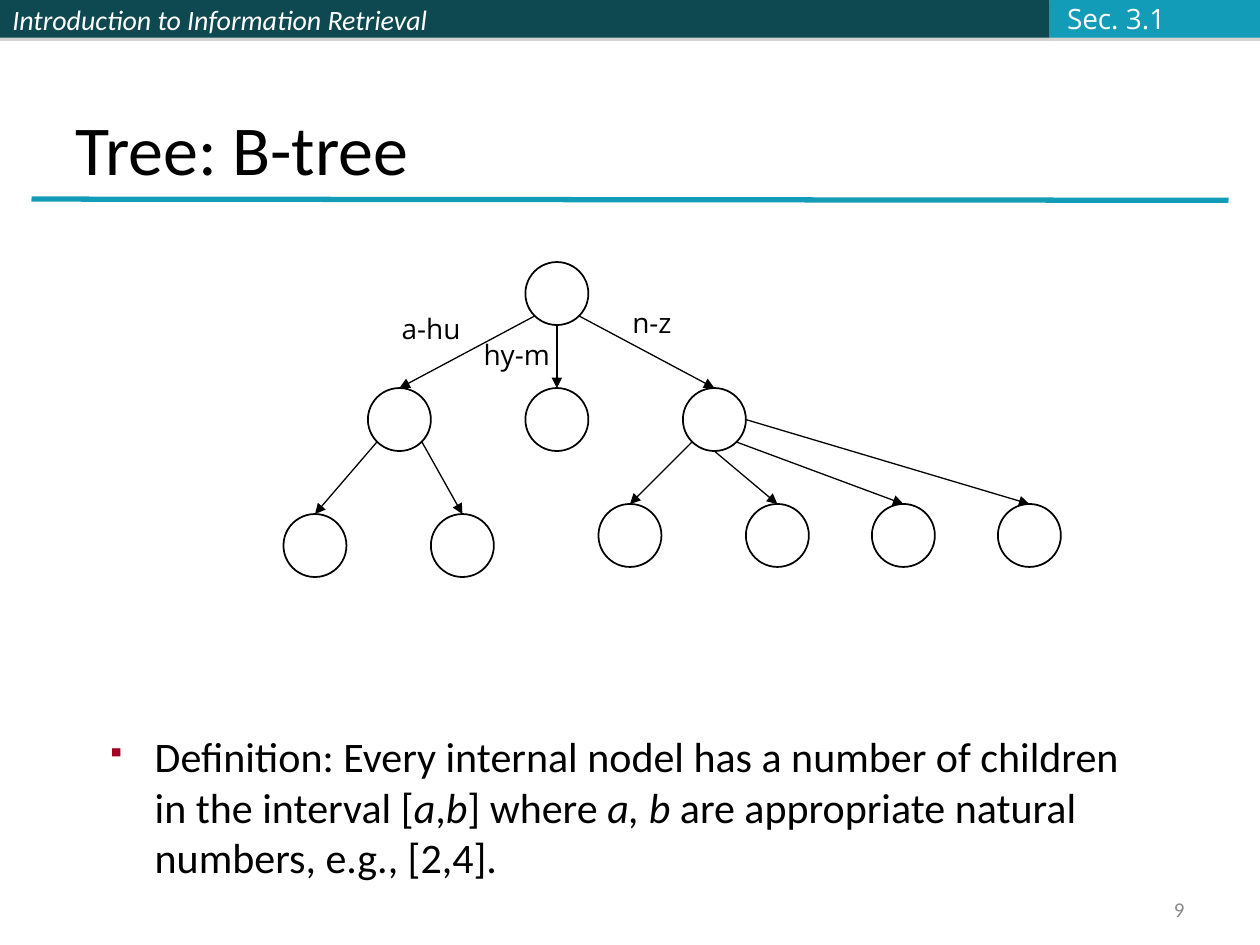
"""Build the B-tree slide: header bars, title, tree diagram and definition."""
from lxml import etree
from pptx import Presentation
from pptx.dml.color import RGBColor
from pptx.enum.shapes import MSO_CONNECTOR, MSO_SHAPE
from pptx.enum.text import MSO_ANCHOR, PP_ALIGN
from pptx.oxml import parse_xml
from pptx.oxml.ns import nsdecls, qn
from pptx.util import Inches, Pt

RECTANGLE, OVAL = MSO_SHAPE.RECTANGLE, MSO_SHAPE.OVAL
STRAIGHT = MSO_CONNECTOR.STRAIGHT
TOP, MIDDLE, BOTTOM = MSO_ANCHOR.TOP, MSO_ANCHOR.MIDDLE, MSO_ANCHOR.BOTTOM
LEFT, RIGHT = PP_ALIGN.LEFT, PP_ALIGN.RIGHT
COLORS = {
    "dark": "0E4851", "teal": "139CB7", "black": "000000", "white": "FFFFFF",
    "section": "FBFCFF", "number": "898989", "bullet": "A50021", "shadow": "808080",
}

prs = Presentation()
prs.slide_width, prs.slide_height = Inches(10), Inches(7.5)
slide = prs.slides.add_slide(prs.slide_layouts[6])
shapes = slide.shapes


def write(shape, text, size, font="Calibri", color="black", anchor=TOP, align=LEFT, wrap=True):
    frame = shape.text_frame
    frame.word_wrap = wrap
    frame.vertical_anchor = anchor
    paragraph = frame.paragraphs[0]
    paragraph.text = text
    paragraph.alignment = align
    paragraph.font.size = Pt(size)
    paragraph.font.name = font
    paragraph.font.color.rgb = RGBColor.from_string(COLORS[color])
    return paragraph


def draw_line(start, end, color, width):
    line = shapes.add_connector(STRAIGHT, *[Inches(v) for v in (*start, *end)])
    line.line.color.rgb = RGBColor.from_string(COLORS[color])
    line.line.width = Pt(width)
    etree.SubElement(line._element.spPr, qn("a:effectLst"))
    return line


header = []
for left, width, color in [(0, 4.08, "dark"), (4.08, 4.25, "dark"), (8.33, 1.67, "teal")]:
    bar = shapes.add_shape(RECTANGLE, Inches(left), 0, Inches(width), Inches(0.3))
    bar.fill.solid()
    bar.fill.fore_color.rgb = RGBColor.from_string(COLORS[color])
    bar.line.fill.background()
    bar.shadow.inherit = False
    bar._element.spPr.find(qn("a:effectLst")).append(parse_xml(
        f'<a:outerShdw {nsdecls("a")} dist="{Pt(1.8)}" dir="5400000" rotWithShape="0">'
        f'<a:srgbClr val="{COLORS["shadow"]}"><a:alpha val="35000"/></a:srgbClr></a:outerShdw>'))
    header.append(bar)
course = write(header[0], "Introduction to Information Retrieval", 16, color="white", anchor=MIDDLE)
course.font.italic = True

draw_line((0.25, 1.58), (9.75, 1.59), "teal", 3)

RADIUS = 0.25
DIAGONAL = 0.18
EXITS = {
    "SW": (-DIAGONAL, DIAGONAL), "S": (0, RADIUS),
    "SE": (DIAGONAL, DIAGONAL), "E": (RADIUS, 0),
}
centers = {
    "root": (4.42, 2.33),
    "a-hu": (3.17, 3.33), "hy-m": (4.42, 3.33), "n-z": (5.67, 3.33),
    "a-hu 1": (2.5, 4.33), "a-hu 2": (3.67, 4.33),
    "n-z 1": (5, 4.25), "n-z 2": (6.17, 4.25), "n-z 3": (7.17, 4.25), "n-z 4": (8.17, 4.25),
}
nodes = {}
for name, (x, y) in centers.items():
    node = shapes.add_shape(OVAL, Inches(x - RADIUS), Inches(y - RADIUS),
                            Inches(2 * RADIUS), Inches(2 * RADIUS))
    node.fill.background()
    node.line.color.rgb = RGBColor.from_string(COLORS["black"])
    node.line.width = Pt(1)
    node.shadow.inherit = False
    nodes[name] = node

edges = [
    ("root", "SW", "a-hu"), ("root", "S", "hy-m"), ("root", "SE", "n-z"),
    ("a-hu", "SW", "a-hu 1"), ("a-hu", "SE", "a-hu 2"),
    ("n-z", "SW", "n-z 1"), ("n-z", "S", "n-z 2"), ("n-z", "SE", "n-z 3"), ("n-z", "E", "n-z 4"),
]
for parent, side, child in edges:
    (x, y), (dx, dy) = centers[parent], EXITS[side]
    child_x, child_y = centers[child]
    edge = draw_line((x + dx, y + dy), (child_x, child_y - RADIUS), "black", 0.75)
    edge.end_connect(nodes[child], 0)
    etree.SubElement(edge.line._get_or_add_ln(), qn("a:tailEnd"), type="triangle")

labels = [
    ("a-hu", 3.09, 2.42, 0.67, "black", TOP),
    ("hy-m", 3.74, 2.63, 0.73, "black", TOP),
    ("n-z", 4.92, 2.38, 0.51, "black", TOP),
    ("Sec. 3.1", 8.37, -0.04, 0.98, "section", MIDDLE),
]
for text, left, top, width, color, anchor in labels:
    label = shapes.add_textbox(Inches(left), Inches(top), Inches(width), Inches(0.37))
    write(label, text, 16, "Open Sans", color, anchor, wrap=False)

title = shapes.add_textbox(Inches(0.5), Inches(0.3), Inches(9), Inches(1.25))
write(title, "Tree: B-tree", 40, anchor=BOTTOM)

body = shapes.add_textbox(Inches(0.75), Inches(5.75), Inches(8.5), Inches(1.5))
definition = write(body, "", 24)
definition.space_before = Pt(6)
for text, italic in [
    ("Definition: Every internal nodel has a number of children in the interval [", False),
    ("a", True), (",", False), ("b", True), ("] where ", False), ("a, b", True),
    (" are appropriate natural numbers, e.g., [2,4].", False),
]:
    run = definition.add_run()
    run.text = text
    run.font.italic = italic
bullet = definition._p.get_or_add_pPr()
bullet.set("marL", str(Inches(0.38)))
bullet.set("indent", str(Inches(-0.38)))
for position, markup in enumerate([
    f'<a:buClr {nsdecls("a")}><a:srgbClr val="{COLORS["bullet"]}"/></a:buClr>',
    f'<a:buSzPct {nsdecls("a")} val="60000"/>',
    f'<a:buChar {nsdecls("a")} char="▪"/>',
], start=1):
    bullet.insert(position, parse_xml(markup))

page = shapes.add_textbox(Inches(7.17), Inches(7.08), Inches(2.33), Inches(0.27))
write(page, "9", 12, color="number", anchor=MIDDLE, align=RIGHT)

prs.save("out.pptx")
